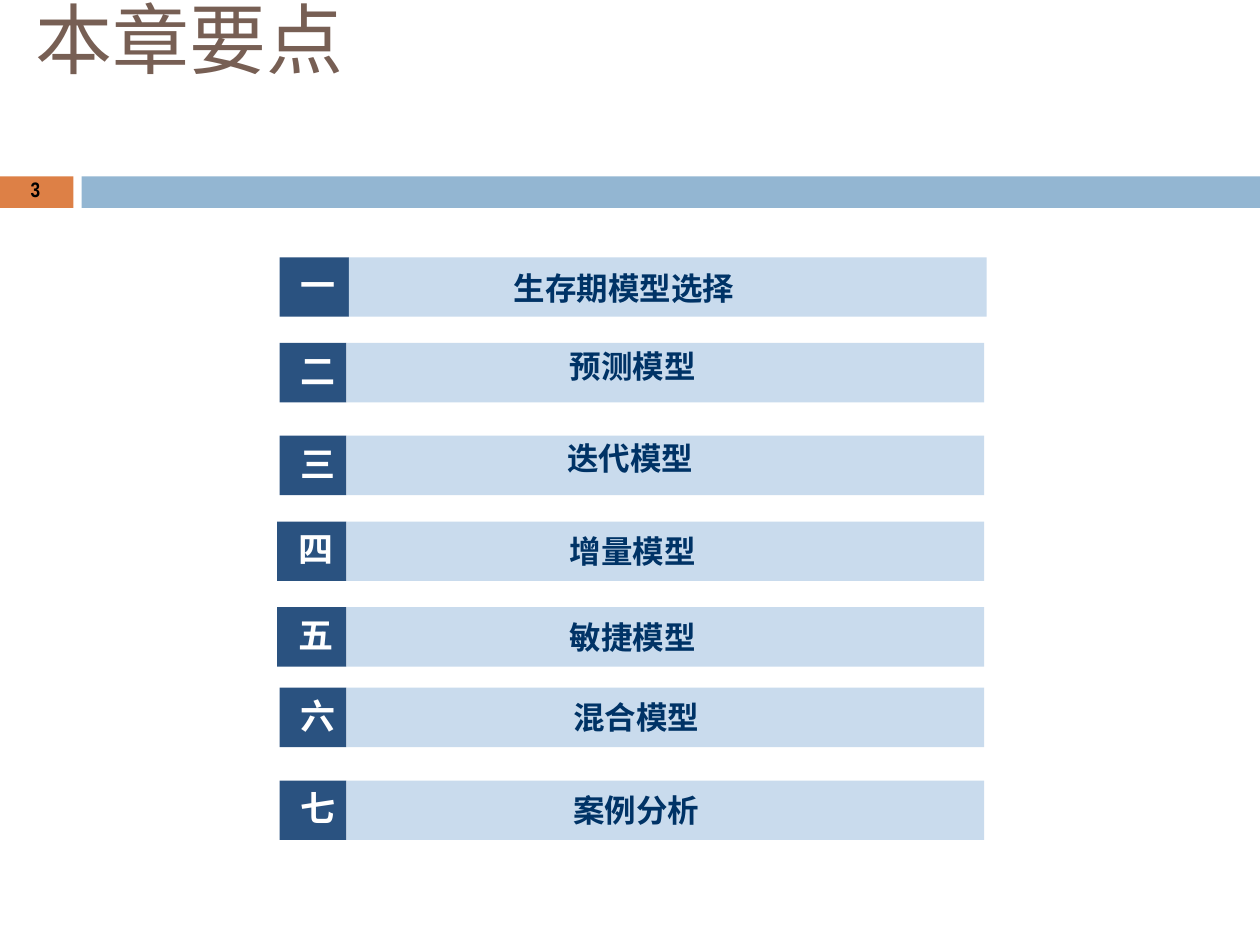
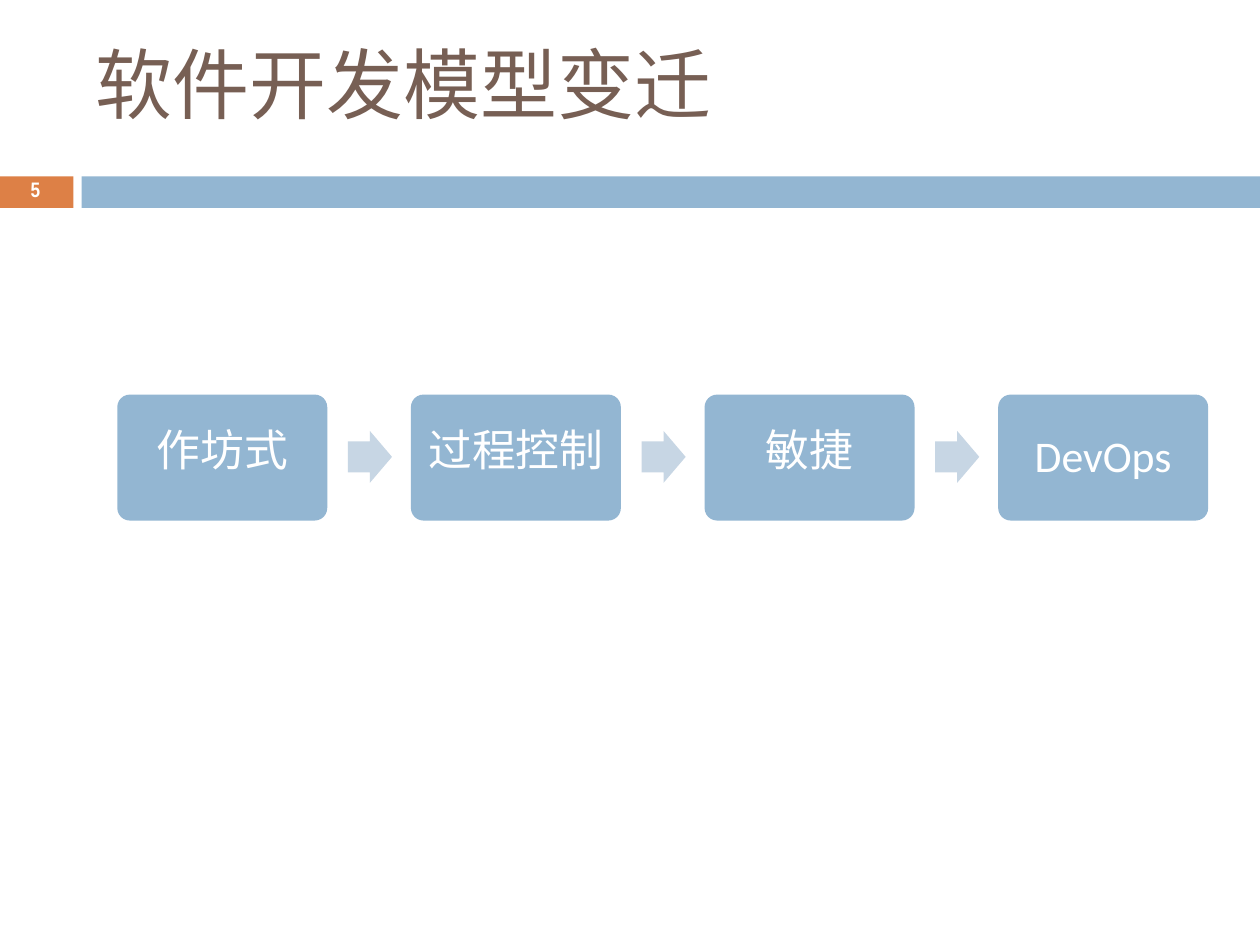
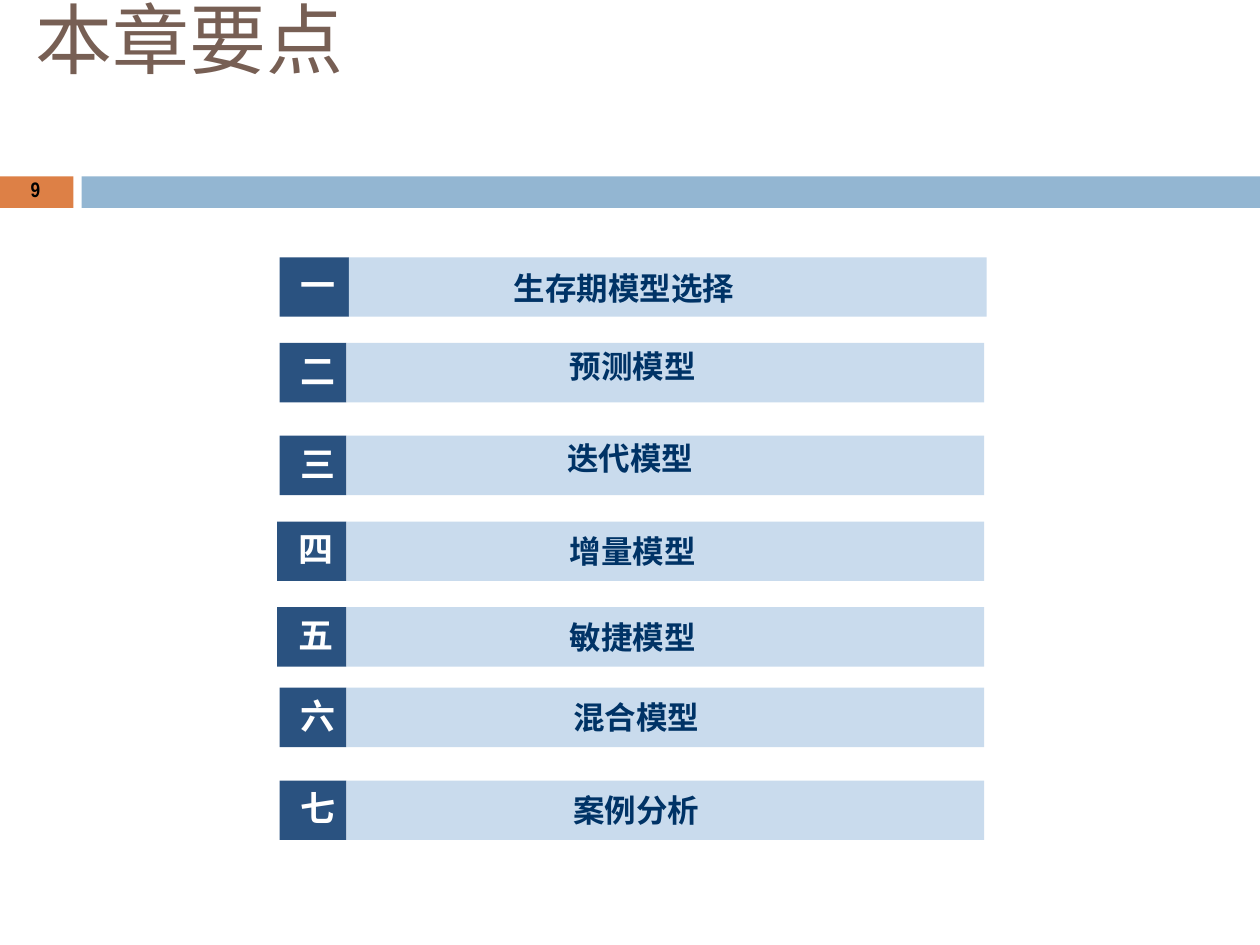
from pptx import Presentation
from pptx.dml.color import RGBColor
from pptx.enum.shapes import MSO_SHAPE
from pptx.enum.text import MSO_ANCHOR, PP_ALIGN
from pptx.oxml.ns import qn
from pptx.util import Pt

RECT, ROUNDED, ARROW = MSO_SHAPE.RECTANGLE, MSO_SHAPE.ROUNDED_RECTANGLE, MSO_SHAPE.RIGHT_ARROW
LEFT, CENTER = PP_ALIGN.LEFT, PP_ALIGN.CENTER
TOP = MSO_ANCHOR.TOP

COLORS = {
    "title": "775F54", "orange": "DD8046", "blue": "93B6D2", "arrow": "C7D6E4",
    "navy": "2A5280", "pale": "C9DBED", "ink": "003366", "white": "FFFFFF", "black": "000000",
}
CJK, CJK_JP = "Noto Sans CJK SC", "Noto Sans CJK JP"
CJK_SPACING = 0.9

TITLE = {"size": 44, "color": "title"}
PAGE = {"size": 12, "color": "black", "bold": True, "font": "Arial Narrow"}
NUMERAL = {"size": 20, "color": "white", "bold": True}
TOPIC = {"size": 18, "color": "ink", "bold": True}
STAGE = {"size": 25, "color": "white"}

ROW_HEIGHT, BAR_WIDTH = 34, 364.4
AGENDA_BOX = (158.4, 147)
AGENDA = [
    ("一", "生存期模型选择", 0, 1.4, 41, (94.3, 9.3, 0)),
    ("二", "预测模型", 49, 1.4, 39.6, (0, 4.5, 37)),
    ("三", "迭代模型", 102, 1.4, 39.6, (0, 4.5, 40)),
    ("四", "增量模型", 151, 0, 39.6, (0, 8.5, 37)),
    ("五", "敏捷模型", 200, 0, 39.6, (0, 8.5, 37)),
    ("六", "混合模型", 246, 1.4, 39.6, (0, 8.5, 33)),
    ("七", "案例分析", 299, 1.4, 39.6, (0, 8.5, 33)),
]
FLOW_BOX = (67, 225.5)
STAGES = [("作坊式", CJK), ("过程控制", CJK), ("敏捷", CJK), ("DevOps", "Calibri")]


def write(sp, text, style, insets=(0, 1, 0), align=LEFT):
    tf = sp.text_frame
    left, top, right = insets
    frame = {"margin_left": Pt(left), "margin_top": Pt(top), "margin_right": Pt(right),
             "margin_bottom": 0, "word_wrap": True, "vertical_anchor": TOP}
    for name, value in frame.items():
        setattr(tf, name, value)
    p = tf.paragraphs[0]
    p.alignment = align
    r = p.add_run()
    r.text = text
    font = style.get("font", CJK)
    for name, value in {"size": Pt(style["size"]), "bold": style.get("bold", False), "name": font}.items():
        setattr(r.font, name, value)
    r.font.color.rgb = RGBColor.from_string(COLORS[style["color"]])
    if font in (CJK, CJK_JP):
        p.line_spacing = CJK_SPACING
        r.font._element.get_or_add_latin().addnext(
            r.font._element.makeelement(qn("a:ea"), {"typeface": font}))


def add_block(s, kind, box, color):
    sp = s.shapes.add_shape(kind, *map(Pt, box))
    sp.shadow.inherit = False
    sp.fill.solid()
    sp.fill.fore_color.rgb = RGBColor.from_string(COLORS[color])
    sp.line.fill.background()
    return sp


def add_label(s, box, text, style):
    write(s.shapes.add_textbox(*map(Pt, box)), text, style)


def add_frame(prs, title, title_box, page, title_style=TITLE, page_style=PAGE):
    s = prs.slides.add_slide(prs.slide_layouts[6])
    add_block(s, RECT, (0, 100.8, 42, 18), "orange")
    add_block(s, RECT, (46.6, 100.8, 673.4, 18), "blue")
    add_label(s, title_box, title, title_style)
    add_label(s, (17.5, 100, 7.5, 16.5), page, page_style)
    return s


def add_agenda(s, left, top):
    for numeral, topic, dy, dx, split, insets in AGENDA:
        y = top + dy
        sp = add_block(s, RECT, (left + dx, y, split - dx, ROW_HEIGHT), "navy")
        write(sp, numeral, NUMERAL, (12.2, 6.3, 0))
        sp = add_block(s, RECT, (left + split, y, BAR_WIDTH, ROW_HEIGHT), "pale")
        write(sp, topic, TOPIC, insets, LEFT if insets[0] else CENTER)


def add_flow(s, left, top, pitch=167.8):
    for i, (stage, font) in enumerate(STAGES):
        x = left + i * pitch
        if i:
            sp = add_block(s, ARROW, (x - 36, top + 20.8, 25.2, 29.6), "arrow")
            sp.adjustments[0] = 0.6
        sp = add_block(s, ROUNDED, (x, top, 120, 72), "blue")
        sp.adjustments[0] = 0.1
        write(sp, stage, {**STAGE, "font": font}, (0, 17.3, 0), CENTER)


def agenda_slide(prs, page):
    s = add_frame(prs, "本章要点", (20.2, 0, 178.6, 54.7), page)
    add_agenda(s, *AGENDA_BOX)


def flow_slide(prs, page):
    s = add_frame(prs, "软件开发模型变迁", (54.7, 26, 354.3, 54.7), page,
                  {**TITLE, "font": CJK_JP}, {**PAGE, "color": "white"})
    add_flow(s, *FLOW_BOX)


def main():
    prs = Presentation()
    prs.slide_width, prs.slide_height = Pt(720), Pt(540)
    agenda_slide(prs, "3")
    flow_slide(prs, "5")
    agenda_slide(prs, "9")
    prs.save("out.pptx")


if __name__ == "__main__":
    main()
